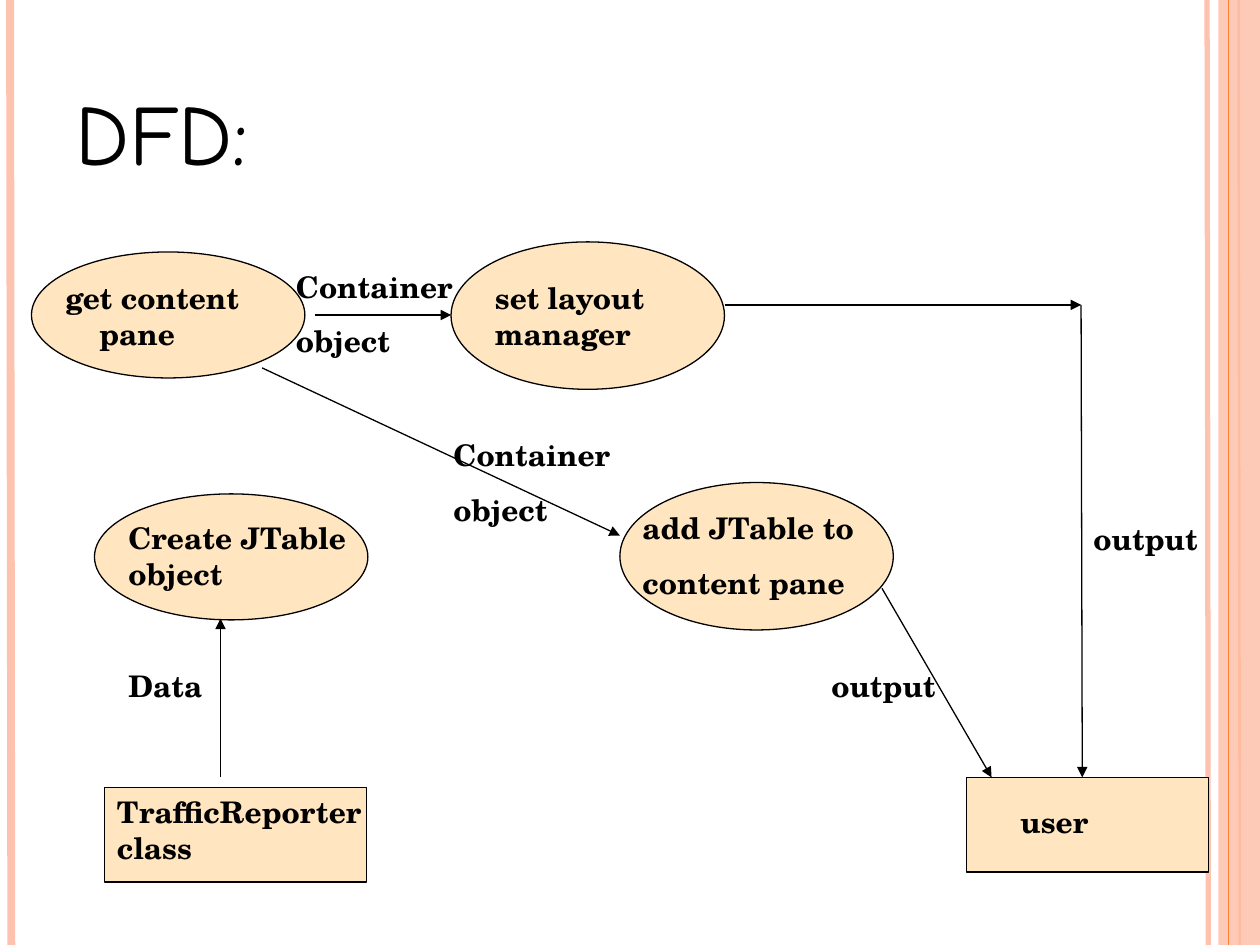
import pptx
import pptx.dml.color
import pptx.enum.shapes
import pptx.enum.text
import pptx.oxml
import pptx.oxml.ns
import pptx.util
from pptx.util import Inches

RGBColor = pptx.dml.color.RGBColor
BLACK = RGBColor(0x00, 0x00, 0x00)
CREAM = RGBColor(0xFF, 0xE6, 0xC1)
PEACH = RGBColor(0xFE, 0xC3, 0xAE)
ORANGE = RGBColor(0xFE, 0x86, 0x37)
OVAL = pptx.enum.shapes.MSO_SHAPE.OVAL
RECTANGLE = pptx.enum.shapes.MSO_SHAPE.RECTANGLE
TITLE_FONT = "Comic Neue"
BODY_FONT = "TeX Gyre Schola"

# Vertical rules: top x, bottom x, colour, width in points
RULES_BEHIND = [
    (9.58, 9.59, PEACH, 3),
    (0.08, 0.09, PEACH, 4.5),
    (9.83, 9.84, ORANGE, 1.5),
]
RULE_IN_FRONT = (9.75, 9.75, ORANGE, 0.75)
SIDE_BAND = (9.67, 0, 0.33, 7.5)

# Nodes: kind, outline place, text place, lines, hanging indent
NODES = [
    (OVAL, (0.25, 2, 2.17, 1), (0.42, 2.17, 1.92, 0.67), ["get content pane"], 0.27),
    (OVAL, (3.58, 1.92, 2.17, 1.17), (3.83, 2.17, 2.08, 0.67), ["set layout manager"], 0),
    (OVAL, (0.75, 3.92, 2.17, 1), (0.92, 4.08, 2.08, 0.67), ["Create JTable object"], 0),
    (OVAL, (4.92, 3.83, 2.17, 1.17), (5, 4, 2.08, 0.82), ["add JTable to", "content pane"], 0),
    (RECTANGLE, (7.67, 6.17, 1.92, 0.75), (8, 6.33, 1.58, 0.39), ["user"], 0),
    (RECTANGLE, (0.83, 6.25, 2.08, 0.75), (0.83, 6.25, 2.25, 0.67), ["TrafficReporter class"], 0),
]

# Flows: start, end, width in points
FLOWS = [
    ((2.5, 2.5), (3.58, 2.5), 1.5),
    ((1.75, 6.17), (1.75, 4.91), 0.75),
    ((2.08, 2.92), (4.92, 4.25), 0.75),
    ((5.75, 2.42), (8.58, 2.42), 0.75),
    ((8.58, 2.42), (8.59, 6.17), 0.75),
    ((7, 4.67), (7.87, 6.17), 0.75),
]

FLOW_LABELS = [
    ((2.25, 2.08, 1.92, 0.82), ["Container", "object"]),
    ((3.5, 3.42, 1.92, 0.82), ["Container", "object"]),
    ((0.92, 5.25, 0.83, 0.39), ["Data"]),
    ((8.58, 4.08, 1.42, 0.39), ["output"]),
    ((6.5, 5.25, 1.17, 0.39), ["output"]),
]


def add_text(page, place, lines, font=BODY_FONT, size=17, bold=True,
             space_before=10.6, hanging=0, anchor=pptx.enum.text.MSO_ANCHOR.TOP):
    box = page.shapes.add_textbox(*map(Inches, place))
    frame = box.text_frame
    frame.word_wrap = True
    frame.vertical_anchor = anchor
    for number, line in enumerate(lines):
        para = frame.add_paragraph() if number else frame.paragraphs[0]
        para.space_before = pptx.util.Pt(space_before)
        if hanging:
            properties = para._p.get_or_add_pPr()
            properties.set("marL", str(Inches(hanging)))
            properties.set("indent", str(-Inches(hanging)))
        span = para.add_run()
        span.text = line
        span.font.name = font
        span.font.size = pptx.util.Pt(size)
        span.font.bold = bold
        span.font.color.rgb = BLACK


def add_line(page, start, end, color, width, arrow=False):
    line = page.shapes.add_connector(
        pptx.enum.shapes.MSO_CONNECTOR.STRAIGHT, *map(Inches, start + end))
    line.line.color.rgb = color
    line.line.width = pptx.util.Pt(width)
    if arrow:
        pptx.oxml.ns.qn("a:tailEnd")
        head = line.line._get_or_add_ln().makeelement(
            pptx.oxml.ns.qn("a:tailEnd"), {"type": "triangle"})
        line.line._get_or_add_ln().append(head)
    properties = line._element.spPr
    properties.append(properties.makeelement(pptx.oxml.ns.qn("a:effectLst"), {}))


def add_outline(page, kind, place, fill, line_color=None, opacity=None):
    shape = page.shapes.add_shape(kind, *map(Inches, place))
    shape.shadow.inherit = False
    shape.fill.solid()
    shape.fill.fore_color.rgb = fill
    if opacity is not None:
        color = shape._element.spPr.find(".//" + pptx.oxml.ns.qn("a:srgbClr"))
        color.append(color.makeelement(
            pptx.oxml.ns.qn("a:alpha"), {"val": str(opacity * 1000)}))
    if line_color is None:
        shape.line.fill.background()
    else:
        shape.line.color.rgb = line_color
        shape.line.width = pptx.util.Pt(0.75)


def add_rule(page, top, bottom, color, width):
    add_line(page, (top, 0), (bottom, 7.5), color, width)


def main():
    deck = pptx.Presentation()
    deck.slide_width, deck.slide_height = Inches(10), Inches(7.5)
    page = deck.slides.add_slide(deck.slide_layouts[6])

    for rule in RULES_BEHIND:
        add_rule(page, *rule)
    add_outline(page, RECTANGLE, SIDE_BAND, PEACH, opacity=87)
    add_rule(page, *RULE_IN_FRONT)

    add_text(page, (0.5, 0.58, 8.17, 0.92), ["DFD:"], font=TITLE_FONT, size=49,
             bold=False, space_before=0, anchor=pptx.enum.text.MSO_ANCHOR.BOTTOM)
    for kind, place, text_place, lines, hanging in NODES:
        add_outline(page, kind, place, CREAM, BLACK)
        add_text(page, text_place, lines, hanging=hanging)
    for start, end, width in FLOWS:
        add_line(page, start, end, BLACK, width, arrow=True)
    for place, lines in FLOW_LABELS:
        add_text(page, place, lines)

    deck.save("out.pptx")


if __name__ == "__main__":
    main()
